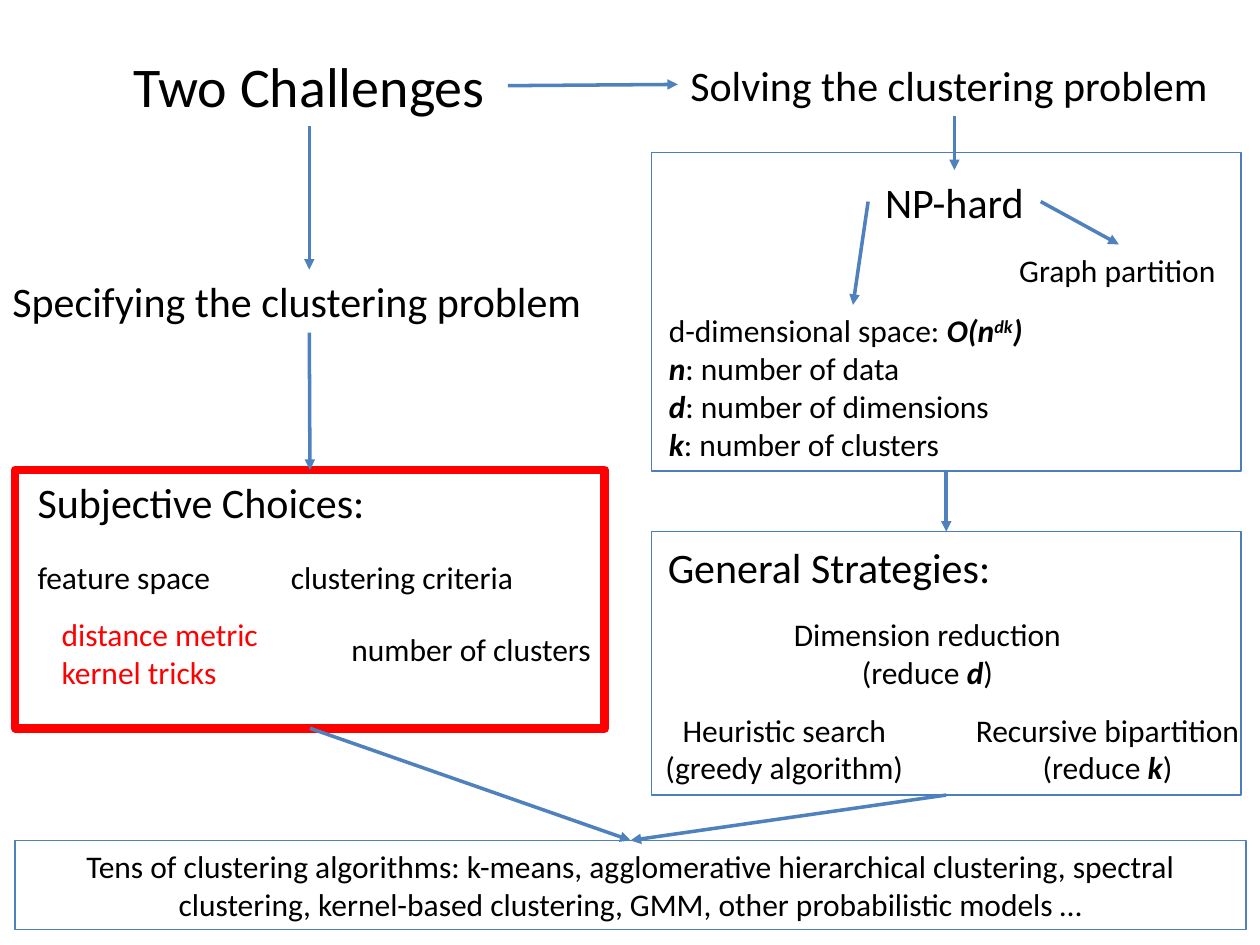
from dataclasses import dataclass

from lxml.etree import SubElement
from pptx import Presentation
from pptx.dml.color import RGBColor
from pptx.enum.shapes import MSO_CONNECTOR, MSO_SHAPE
from pptx.enum.text import MSO_ANCHOR, MSO_AUTO_SIZE, PP_ALIGN
from pptx.oxml.ns import qn
from pptx.util import Emu, Inches, Pt

BLACK = RGBColor(0x00, 0x00, 0x00)
RED = RGBColor(0xFF, 0x00, 0x00)
BLUE = RGBColor(0x4F, 0x81, 0xBD)
EDGE = RGBColor(0x4B, 0x7E, 0xBC)

WIDE, HIGH = Inches(10), Inches(7.5)
COLS, ROWS = 100, 75
TOP, LEFT, BOTTOM, RIGHT = range(4)
MID, START = PP_ALIGN.CENTER, PP_ALIGN.LEFT

Area = tuple[float, float, float, float]


@dataclass
class Label:
    """Text at an area of the grid; *...* is bold italic, ^...^ is raised."""
    name: str
    area: Area
    lines: tuple[str, ...]
    size: int = 18
    color: RGBColor = BLACK
    align: PP_ALIGN = START


@dataclass
class Frame:
    name: str
    area: Area
    color: RGBColor
    width: float = 0.75


@dataclass
class Arrow:
    tail: str
    out: int
    head: str
    into: int = TOP


TITLE = Label("title", (8.8, 3.6, 31.5, 6.4), ("Two Challenges",), 32, align=MID)

FRAMES = [
    Frame("choice box", (1.2, 37.3, 46.8, 20.5), RED, 5),
    Frame("solve box", (51.7, 12.1, 46.8, 25.3), EDGE),
    Frame("plan box", (51.7, 42.2, 46.8, 20.9), EDGE),
    Frame("method box", (1.2, 66.7, 97.7, 7.1), BLUE),
]

LABELS = [
    Label("specify", (0, 21.4, 49.1, 5), ("Specifying the clustering problem",), 24),
    Label("solve", (53.8, 4.2, 43.9, 5), ("Solving the clustering problem",), 24),
    Label("choices", (2, 37.3, 30.1, 5), ("Subjective Choices:",), 24),
    Label("feature", (2, 43.8, 16.6, 4), ("feature space",)),
    Label("metric", (3.9, 48.3, 17.8, 7.1),
          ("distance metric", "kernel tricks"), color=RED),
    Label("criteria", (22.1, 43.8, 19.9, 4), ("clustering criteria",)),
    Label("number", (26.9, 49.5, 21.9, 4), ("number of clusters",)),
    Label("hard", (68.9, 13.5, 13.7, 5), ("NP-hard",), 24, align=MID),
    Label("space", (52.1, 24.2, 31.2, 13.1),
          ("d-dimensional space:* O(n^dk^)*", "*n*: number of data",
           "*d*: number of dimensions", "*k*: number of clusters")),
    Label("graph", (79.9, 19.4, 17.8, 4), ("Graph partition",)),
    Label("plans", (51.7, 42.5, 28.2, 5), ("General Strategies:",), 24, align=MID),
    Label("reduce", (61.5, 48.3, 24.2, 7.1),
          ("Dimension reduction", "(reduce *d*)"), align=MID),
    Label("search", (50.9, 55.9, 22.7, 7.1),
          ("Heuristic search", "(greedy algorithm)"), align=MID),
    Label("split", (75.8, 55.9, 24.2, 7.1),
          ("Recursive bipartition", "(reduce *k*)"), align=MID),
]

METHODS = Label("methods", FRAMES[-1].area, (
    "Tens of clustering algorithms: k-means, agglomerative hierarchical "
    "clustering, spectral clustering, kernel-based clustering, GMM, other "
    "probabilistic models …",), align=MID)

ARROWS = [
    Arrow("title", BOTTOM, "specify"),
    Arrow("title", RIGHT, "solve", LEFT),
    Arrow("solve", BOTTOM, "hard"),
    Arrow("specify", BOTTOM, "choice box"),
    Arrow("solve box", BOTTOM, "plan box"),
    Arrow("choice box", BOTTOM, "method box"),
    Arrow("plan box", BOTTOM, "method box"),
    Arrow("hard", LEFT, "space"),
    Arrow("hard", RIGHT, "graph"),
]


def place(area: Area) -> list[Emu]:
    """Turn grid columns and rows into slide lengths."""
    x, y, w, h = area
    return [Emu(round(x / COLS * WIDE)), Emu(round(y / ROWS * HIGH)),
            Emu(round(w / COLS * WIDE)), Emu(round(h / ROWS * HIGH))]


def assign(item, values: dict) -> None:
    for key, value in values.items():
        setattr(item, key, value)


def write(shape, label: Label, anchor=MSO_ANCHOR.TOP) -> None:
    frame = shape.text_frame
    assign(frame, {
        "word_wrap": True, "auto_size": MSO_AUTO_SIZE.NONE,
        "vertical_anchor": anchor,
        "margin_left": Inches(0.1), "margin_right": Inches(0.1),
        "margin_top": Inches(0.05), "margin_bottom": Inches(0.05),
    })
    for row, line in enumerate(label.lines):
        para = frame.add_paragraph() if row else frame.paragraphs[0]
        para.alignment = label.align
        for i, part in enumerate(line.split("*")):
            for j, text in enumerate(part.split("^")):
                if not text:
                    continue
                run = para.add_run()
                run.text = text
                look = {"name": "Calibri", "size": Pt(label.size)}
                if i % 2:
                    look |= {"bold": True, "italic": True}
                assign(run.font, look)
                run.font.color.rgb = label.color
                if j % 2:
                    run.font._element.set("baseline", "30000")


def draw_frame(slide, frame: Frame):
    box = slide.shapes.add_shape(MSO_SHAPE.RECTANGLE, *place(frame.area))
    box.shadow.inherit = False
    box.fill.background()
    box.line.color.rgb = frame.color
    box.line.width = Pt(frame.width)
    return box


def draw_label(slide, label: Label):
    box = slide.shapes.add_textbox(*place(label.area))
    write(box, label)
    return box


def draw_arrow(slide, arrow: Arrow, nodes: dict) -> None:
    link = slide.shapes.add_connector(MSO_CONNECTOR.STRAIGHT, 0, 0, 0, 0)
    link.begin_connect(nodes[arrow.tail], arrow.out)
    link.end_connect(nodes[arrow.head], arrow.into)
    link.line.color.rgb = BLUE
    link.line.width = Pt(2)
    SubElement(link.line._get_or_add_ln(), qn("a:tailEnd"), type="triangle")
    SubElement(link._element.spPr, qn("a:effectLst"))


def main() -> None:
    deck = Presentation()
    assign(deck, {"slide_width": WIDE, "slide_height": HIGH})
    slide = deck.slides.add_slide(deck.slide_layouts[5])
    title = slide.shapes.title
    assign(title, dict(zip(("left", "top", "width", "height"), place(TITLE.area))))
    write(title, TITLE)

    nodes = {"title": title}
    for frame in FRAMES:
        nodes[frame.name] = draw_frame(slide, frame)
    write(nodes["method box"], METHODS, MSO_ANCHOR.MIDDLE)
    for label in LABELS:
        nodes[label.name] = draw_label(slide, label)
    for arrow in ARROWS:
        draw_arrow(slide, arrow, nodes)
    deck.save("out.pptx")


if __name__ == "__main__":
    main()
